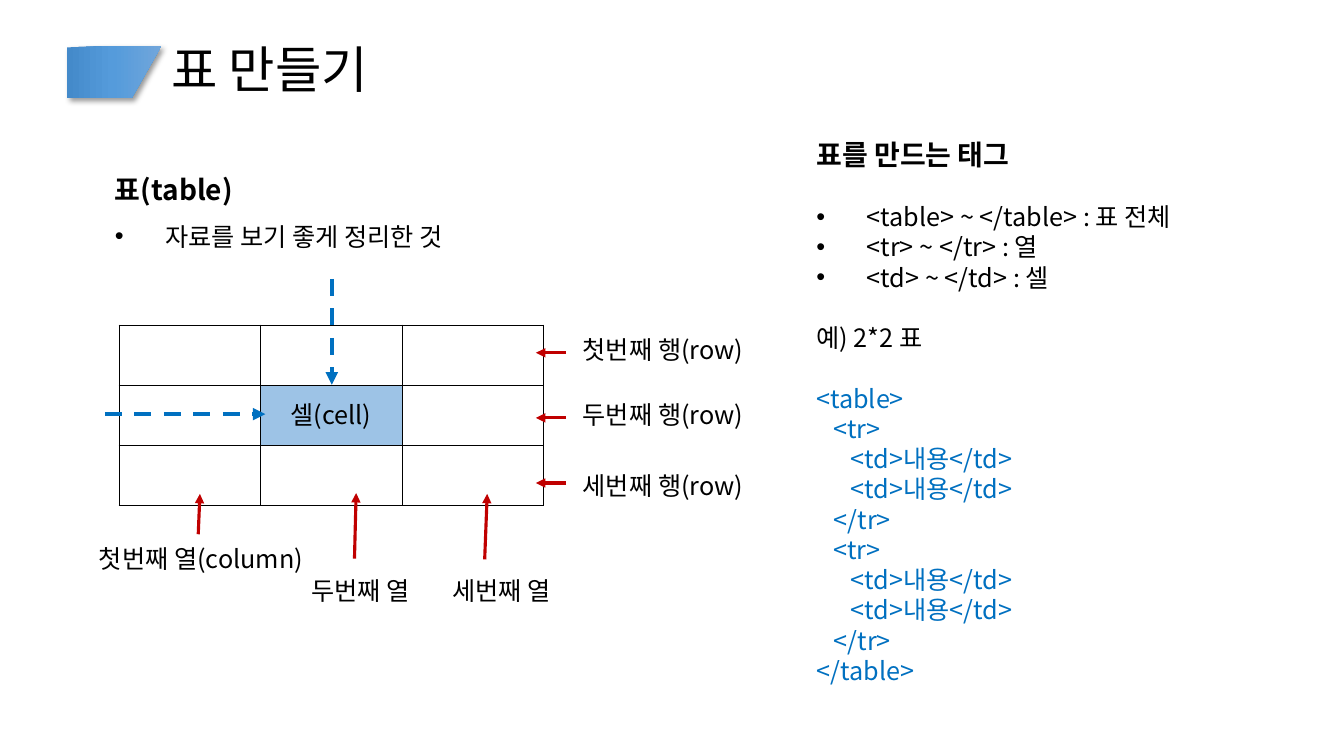
"""Build a slide that explains table rows, columns, cells and tags."""
from dataclasses import dataclass

from lxml import etree
from pptx import Presentation
from pptx.dml.color import RGBColor
from pptx.enum.dml import MSO_LINE_DASH_STYLE as Dash
from pptx.enum.shapes import MSO_CONNECTOR as Connector
from pptx.enum.text import MSO_ANCHOR as Anchor
from pptx.oxml import parse_xml
from pptx.oxml.ns import nsdecls, qn
from pptx.slide import Slide
from pptx.util import Emu, Inches, Pt


@dataclass(frozen=True)
class Theme:
    font: str = "Noto Sans CJK KR"
    text: str = "000000"
    code: str = "0070C0"
    pointer: str = "C00000"
    cell: str = "9DC3E6"
    banner: tuple[str, str, str] = ("448ACA", "559BDB", "71A6DB")
    title_size: float = 36
    heading_size: float = 20
    body_size: float = 18
    blank_line: float = 21.6


@dataclass(frozen=True)
class Box:
    left: float
    top: float
    width: float
    height: float = 4.8


@dataclass(frozen=True)
class Line:
    text: str
    size: float = Theme.body_size
    bold: bool = False
    color: str = Theme.text
    bullet: bool = False
    level: int = 0
    before: float = 0


@dataclass(frozen=True)
class Label:
    text: str
    box: Box


@dataclass(frozen=True)
class Arrow:
    start: tuple[float, float]
    end: tuple[float, float]
    color: str = Theme.pointer
    width: float = 2.25
    dashed: bool = False


THEME = Theme()
SLIDE_WIDTH, SLIDE_HEIGHT = Inches(13.33), Inches(7.5)
GRID_COLUMNS, GRID_ROWS = 160, 90
CELL_COUNT = 3
TABLE = Box(14.2, 38.7, 50.52, 21.51)
BULLET_INDENT = Inches(0.5)
CODE_INDENT = Inches(0.17)

BANNER = [(15.7, 11.65), (19.2, 5.5), (12.4, 5.5), (7.95, 5.65), (7.95, 11.65)]
INTRO = [
    Line("표(table)", THEME.heading_size, bold=True),
    Line("자료를 보기 좋게 정리한 것", bullet=True),
]
CODE_ROW = [("<tr>", 1), ("<td>내용</td>", 2), ("<td>내용</td>", 2), ("</tr>", 1)]
CODE = [*CODE_ROW, *CODE_ROW, ("</table>", 0)]
TAGS = [
    Line("표를 만드는 태그", THEME.heading_size, bold=True),
    Line("<table> ~ </table> : 표 전체", bullet=True, before=THEME.blank_line),
    Line("<tr> ~ </tr> : 열", bullet=True),
    Line("<td> ~ </td> : 셀", bullet=True),
    Line("예) 2*2 표", before=THEME.blank_line),
    Line("<table>", color=THEME.code, before=THEME.blank_line),
    *(Line(text, color=THEME.code, level=level) for text, level in CODE),
]
LABELS = [
    Label("첫번째 행(row)", Box(68.2, 39.2, 25.4)),
    Label("두번째 행(row)", Box(68.2, 46.9, 25.4)),
    Label("세번째 행(row)", Box(68.2, 55.4, 25.4)),
    Label("첫번째 열(column)", Box(10.6, 64.1, 31.3)),
    Label("두번째 열", Box(35.9, 67.9, 28)),
    Label("세번째 열", Box(52.7, 67.9, 31.3)),
    Label("셀(cell)", Box(33.4, 46.9, 20.8)),
]
ROW_ARROWS = [
    Arrow((67.4, 42 + 7.75 * row), (63.8, 42 + 7.75 * row)) for row in range(CELL_COUNT)
]
ARROWS = [
    *ROW_ARROWS,
    Arrow((23.6, 63.6), (23.8, 58.8)),
    Arrow((42.2, 66.5), (42.4, 58.7)),
    Arrow((57.7, 66.6), (58, 58.8)),
    Arrow((12.5, 49.3), (31.6, 49.3), THEME.code, 3, dashed=True),
    Arrow((39.5, 33.2), (39.5, 45.8), THEME.code, 3, dashed=True),
]


def across(columns: float) -> Emu:
    """Turn grid columns into a length."""
    return Emu(round(SLIDE_WIDTH * columns / GRID_COLUMNS))


def down(rows: float) -> Emu:
    """Turn grid rows into a length."""
    return Emu(round(SLIDE_HEIGHT * rows / GRID_ROWS))


def place(box: Box) -> tuple[Emu, Emu, Emu, Emu]:
    """Turn a grid box into left, top, width and height."""
    return across(box.left), down(box.top), across(box.width), down(box.height)


def add_text(slide: Slide, lines: list[Line], box: Box, *, spacing: float = 1.0,
             anchor: Anchor = Anchor.TOP) -> None:
    """Add a text box with one paragraph for each line."""
    frame = slide.shapes.add_textbox(*place(box)).text_frame
    frame.word_wrap = True
    frame.vertical_anchor = anchor
    for index, line in enumerate(lines):
        paragraph = frame.add_paragraph() if index else frame.paragraphs[0]
        paragraph.line_spacing = spacing
        paragraph.space_before = Pt(line.before)
        run = paragraph.add_run()
        run.text = line.text
        run.font.name = THEME.font
        run.font.size = Pt(line.size)
        run.font.bold = line.bold
        run.font.color.rgb = RGBColor.from_string(line.color)
        etree.SubElement(run.font._element, qn("a:ea"), typeface=THEME.font)
        properties = paragraph._p.get_or_add_pPr()
        if line.bullet:
            properties.set("marL", str(BULLET_INDENT))
            properties.set("indent", str(-BULLET_INDENT))
            etree.SubElement(properties, qn("a:buFont"), typeface="Arial")
            etree.SubElement(properties, qn("a:buChar"), char="•")
        elif line.level:
            properties.set("marL", str(CODE_INDENT * line.level))


def add_banner(slide: Slide) -> None:
    """Add the slanted gradient shape beside the title."""
    points = [(across(column), down(row)) for column, row in BANNER]
    builder = slide.shapes.build_freeform(*points[0])
    builder.add_line_segments(points[1:], close=True)
    shape = builder.convert_to_shape()
    shape.line.fill.background()
    stops = "".join(
        f'<a:gs pos="{index * 50000}"><a:srgbClr val="{color}"/></a:gs>'
        for index, color in enumerate(THEME.banner))
    gradient = parse_xml(f'<a:gradFill {nsdecls("a")}><a:gsLst>{stops}</a:gsLst>'
                         '<a:lin ang="0" scaled="0"/></a:gradFill>')
    shadow = parse_xml(
        f'<a:effectLst {nsdecls("a")}><a:outerShdw blurRad="{Pt(4)}" dist="{Pt(3)}" '
        'dir="2700000" algn="tl" rotWithShape="0"><a:srgbClr val="000000">'
        '<a:alpha val="40000"/></a:srgbClr></a:outerShdw></a:effectLst>')
    properties = shape._element.spPr
    properties.find(qn("a:custGeom")).addnext(gradient)
    properties.append(shadow)


def add_grid_table(slide: Slide) -> None:
    """Add the bordered table with its middle cell filled."""
    frame = slide.shapes.add_table(CELL_COUNT, CELL_COUNT, *place(TABLE))
    middle = CELL_COUNT // 2
    for row in range(CELL_COUNT):
        for column in range(CELL_COUNT):
            cell = frame.table.cell(row, column)
            if row == column == middle:
                cell.fill.solid()
                cell.fill.fore_color.rgb = RGBColor.from_string(THEME.cell)
            else:
                cell.fill.background()
            properties = cell._tc.get_or_add_tcPr()
            for index, side in enumerate("LRTB"):
                properties.insert(index, parse_xml(
                    f'<a:ln{side} {nsdecls("a")} w="{Pt(1)}"><a:solidFill>'
                    f'<a:srgbClr val="{THEME.text}"/></a:solidFill></a:ln{side}>'))


def add_arrow(slide: Slide, arrow: Arrow) -> None:
    """Add a straight line with a triangular head at its end."""
    ends = [length for column, row in (arrow.start, arrow.end)
            for length in (across(column), down(row))]
    connector = slide.shapes.add_connector(Connector.STRAIGHT, *ends)
    connector.line.color.rgb = RGBColor.from_string(arrow.color)
    connector.line.width = Pt(arrow.width)
    if arrow.dashed:
        connector.line.dash_style = Dash.DASH
    etree.SubElement(connector.line._get_or_add_ln(), qn("a:tailEnd"), type="triangle")
    etree.SubElement(connector._element.spPr, qn("a:effectLst"))


def main() -> None:
    """Build and save the slide."""
    presentation = Presentation()
    presentation.slide_width, presentation.slide_height = SLIDE_WIDTH, SLIDE_HEIGHT
    slide = presentation.slides.add_slide(presentation.slide_layouts[6])
    add_banner(slide)
    add_text(slide, [Line("표 만들기", THEME.title_size)], Box(19.2, 4, 125.4, 9.2),
             spacing=0.9, anchor=Anchor.MIDDLE)
    add_text(slide, INTRO, Box(12.5, 17.9, 137.3, 12.7), spacing=1.5)
    add_grid_table(slide)
    for label in LABELS:
        add_text(slide, [Line(label.text)], label.box)
    for arrow in ARROWS:
        add_arrow(slide, arrow)
    add_text(slide, TAGS, Box(96, 15.8, 53.9, 67.1))
    presentation.save("out.pptx")


if __name__ == "__main__":
    main()
